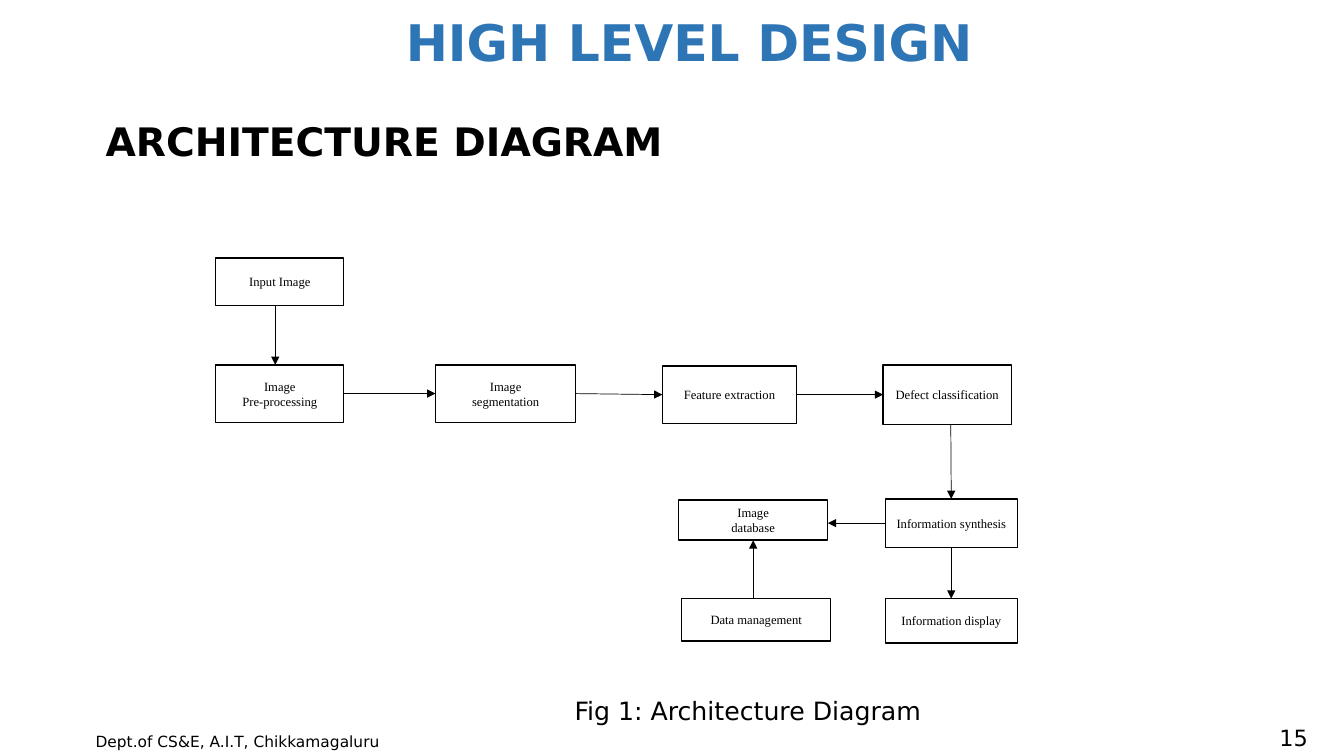
from lxml import etree
from pptx import Presentation
from pptx import util as u
from pptx.dml.color import RGBColor
from pptx.enum import shapes, text
from pptx.oxml import ns

BLACK = RGBColor(0x00, 0x00, 0x00)
WHITE = RGBColor(0xFF, 0xFF, 0xFF)
BLUE = RGBColor(0x2E, 0x75, 0xB6)
SCALE = 9144
TOP, LEFT, BOTTOM, RIGHT = range(4)
ALIGN = text.PP_ALIGN
ANCHOR = text.MSO_ANCHOR


class Sheet:
    """Draws styled elements on one slide, with lengths in px of 1/100 inch."""

    def __init__(self, deck):
        self.slide = deck.slides.add_slide(deck.slide_layouts[6])
        self.heading_font = "DejaVu Sans"
        self.box_font = "Times New Roman"

    def px(self, *lengths):
        return [u.Emu(length * SCALE) for length in lengths]

    def set_wording(self, frame, wording, font, align, spacing=None):
        frame.text = wording
        for paragraph in frame.paragraphs:
            paragraph.alignment = align
            paragraph.line_spacing = spacing
            for run in paragraph.runs:
                run.font.color.rgb = font["color"]
                for name in ("name", "size", "bold"):
                    setattr(run.font, name, font[name])

    def label(self, wording, place, size, color=BLACK, bold=False,
              align=ALIGN.LEFT, spacing=None, **frame_format):
        frame = self.slide.shapes.add_textbox(*self.px(*place)).text_frame
        for name, value in {"word_wrap": True, **frame_format}.items():
            setattr(frame, name, value)
        font = {"name": self.heading_font, "size": u.Pt(size),
                "bold": bold, "color": color}
        self.set_wording(frame, wording, font, align, spacing)

    def box(self, wording, *place):
        step = self.slide.shapes.add_shape(
            shapes.MSO_SHAPE.RECTANGLE, *self.px(*place))
        step.shadow.inherit = False
        step.fill.solid()
        step.fill.fore_color.rgb = WHITE
        step.line.color.rgb = BLACK
        step.line.width = u.Pt(1)
        frame_format = {"word_wrap": True, "vertical_anchor": ANCHOR.MIDDLE}
        for name, value in frame_format.items():
            setattr(step.text_frame, name, value)
        font = {"name": self.box_font, "size": u.Pt(9),
                "bold": False, "color": BLACK}
        self.set_wording(step.text_frame, wording, font, ALIGN.CENTER)
        return step

    def arrow(self, start, end, start_box=None, end_box=None):
        """Ends are points, or sides where a box is given."""
        points = [(0, 0) if box else point
                  for point, box in ((start, start_box), (end, end_box))]
        flow = self.slide.shapes.add_connector(
            shapes.MSO_CONNECTOR.STRAIGHT, *self.px(*points[0], *points[1]))
        if start_box:
            flow.begin_connect(start_box, start)
        if end_box:
            flow.end_connect(end_box, end)
        flow.line.color.rgb = BLACK
        flow.line.width = u.Pt(0.5)
        properties = flow._element.spPr
        etree.SubElement(properties.find(ns.qn("a:ln")), ns.qn("a:tailEnd"),
                         type="triangle")
        etree.SubElement(properties, ns.qn("a:effectLst"))


def main():
    deck = Presentation()
    deck.slide_width, deck.slide_height = u.Inches(13.33), u.Inches(7.5)
    sheet = Sheet(deck)

    sheet.box("Input Image", 214, 256, 127, 47)
    preprocessing = sheet.box("Image\nPre-processing", 214, 362, 127, 57)
    segmentation = sheet.box("Image\nsegmentation", 432, 362, 139, 57)
    extraction = sheet.box("Feature extraction", 657, 363, 133, 57)
    classification = sheet.box("Defect classification", 876, 362, 127, 59)
    database = sheet.box("Image\ndatabase", 673, 496, 148, 40)
    synthesis = sheet.box("Information synthesis", 878, 495, 131, 48)
    display = sheet.box("Information display", 878, 594, 131, 44)
    sheet.box("Data management", 676, 594, 148, 42)

    pipeline = [preprocessing, segmentation, extraction, classification]
    for before, after in zip(pipeline, pipeline[1:]):
        sheet.arrow(RIGHT, LEFT, before, after)
    sheet.arrow((273, 303), (273, 362))
    sheet.arrow((943, 421), TOP, end_box=synthesis)
    sheet.arrow(BOTTOM, TOP, synthesis, display)
    sheet.arrow(LEFT, (821, 519), start_box=synthesis)
    sheet.arrow((747, 594), BOTTOM, end_box=database)

    grow = text.MSO_AUTO_SIZE.SHAPE_TO_FIT_TEXT
    sheet.label("HIGH LEVEL DESIGN", (194, 13, 979, 98), 36, BLUE, True,
                ALIGN.CENTER, 0.9)
    sheet.label("ARCHITECTURE DIAGRAM", (95, 111, 591, 57), 28, bold=True,
                word_wrap=False, auto_size=grow)
    sheet.label("Fig 1: Architecture Diagram", (560, 685, 373, 40), 18,
                word_wrap=False, auto_size=grow)
    sheet.label("Dept.of CS&E, A.I.T, Chikkamagaluru", (85, 721, 314, 29), 11,
                auto_size=grow)
    sheet.label("15", (1257, 716, 50, 32), 16, align=ALIGN.RIGHT,
                vertical_anchor=ANCHOR.MIDDLE)
    deck.save("out.pptx")


if __name__ == "__main__":
    main()
